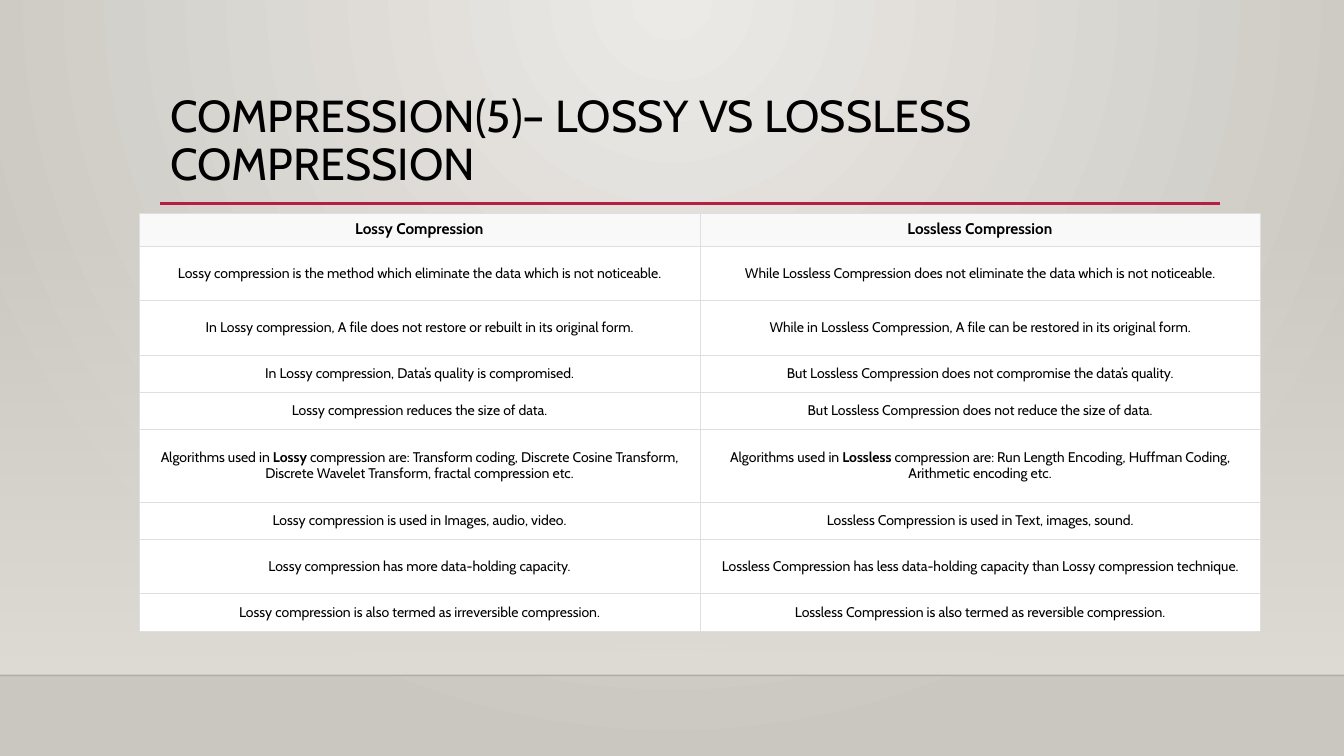
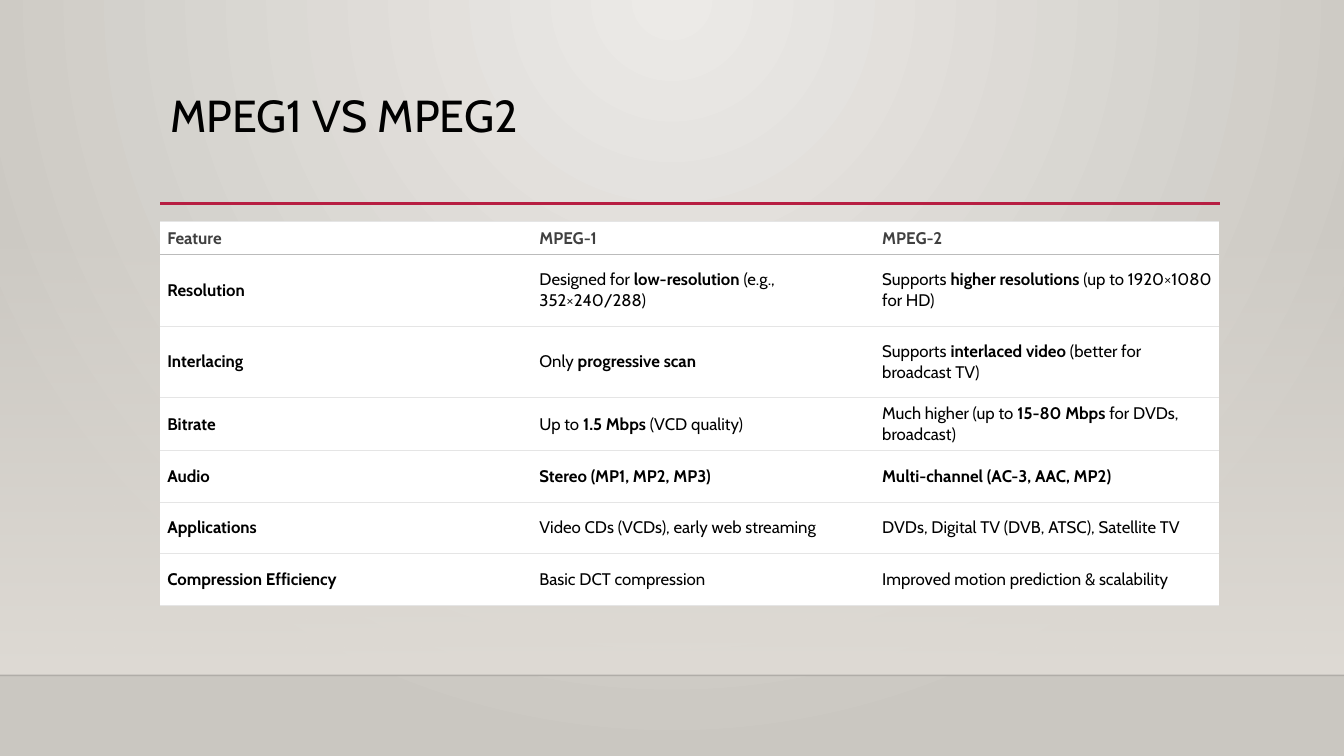
"""Build two comparison slides on video and data compression."""
from lxml import etree
from pptx import Presentation
from pptx.dml.color import RGBColor
from pptx.enum.shapes import MSO_CONNECTOR, MSO_SHAPE
from pptx.enum.text import MSO_ANCHOR, MSO_AUTO_SIZE, PP_ALIGN
from pptx.oxml.ns import qn
from pptx.util import Inches, Pt

RECT = MSO_SHAPE.RECTANGLE
STRAIGHT = MSO_CONNECTOR.STRAIGHT
TOP, MIDDLE = MSO_ANCHOR.TOP, MSO_ANCHOR.MIDDLE
LEFT, CENTER = PP_ALIGN.LEFT, PP_ALIGN.CENTER
FONT = "Cabin"
BLACK, WHITE, ACCENT = "000000", "FFFFFF", "B71E42"


def rgb(value):
    return RGBColor.from_string(value)


def add_border(tc_pr, index, side, color, width):
    ln = etree.Element(qn(f"a:ln{side}"), w=str(Pt(width)))
    if color:
        fill = etree.SubElement(ln, qn("a:solidFill"))
        etree.SubElement(fill, qn("a:srgbClr"), val=color)
    else:
        etree.SubElement(ln, qn("a:noFill"))
    tc_pr.insert(index, ln)


LOSSY_ROWS = [
    ("**Lossy Compression**", "**Lossless Compression**"),
    ("Lossy compression is the method which eliminate the data which is not noticeable.",
     "While Lossless Compression does not eliminate the data which is not noticeable."),
    ("In Lossy compression, A file does not restore or rebuilt in its original form.",
     "While in Lossless Compression, A file can be restored in its original form."),
    ("In Lossy compression, Data’s quality is compromised.",
     "But Lossless Compression does not compromise the data’s quality."),
    ("Lossy compression reduces the size of data.",
     "But Lossless Compression does not reduce the size of data."),
    ("Algorithms used in **Lossy** compression are: Transform coding, Discrete Cosine "
     "Transform, Discrete Wavelet Transform, fractal compression etc.",
     "Algorithms used in **Lossless** compression are: Run Length Encoding, "
     "Huffman Coding, Arithmetic encoding etc."),
    ("Lossy compression is used in Images, audio, video.",
     "Lossless Compression is used in Text, images, sound."),
    ("Lossy compression has more data-holding capacity.",
     "Lossless Compression has less data-holding capacity than Lossy compression technique."),
    ("Lossy compression is also termed as irreversible compression.",
     "Lossless Compression is also termed as reversible compression."),
]
MPEG_ROWS = [
    ("**Feature**", "**MPEG-1**", "**MPEG-2**"),
    ("**Resolution**", "Designed for **low-resolution** (e.g., 352×240/288)",
     "Supports **higher resolutions** (up to 1920×1080 for HD)"),
    ("**Interlacing**", "Only **progressive scan**",
     "Supports **interlaced video** (better for broadcast TV)"),
    ("**Bitrate**", "Up to **1.5 Mbps** (VCD quality)",
     "Much higher (up to **15-80 Mbps** for DVDs, broadcast)"),
    ("**Audio**", "**Stereo (MP1, MP2, MP3)**", "**Multi-channel (AC-3, AAC, MP2)**"),
    ("**Applications**", "Video CDs (VCDs), early web streaming",
     "DVDs, Digital TV (DVB, ATSC), Satellite TV"),
    ("**Compression Efficiency**", "Basic DCT compression",
     "Improved motion prediction & scalability"),
]
SLIDES = [
    dict(title="COMPRESSION(5)– LOSSY VS LOSSLESS COMPRESSION", rows=LOSSY_ROWS,
         at=(1.38, 2.11), cols=[5.56, 5.56],
         heights=[0.33, 0.54, 0.54, 0.37, 0.37, 0.72, 0.37, 0.54, 0.37],
         align=CENTER, sizes=(11, 10), head_fill="F9F9F9", head_color=BLACK,
         pad_x=0.07, pads_y=(0.07, 0.09), width=0.18,
         side="DFDFDF", rule="DFDFDF", head_rule="DFDFDF"),
    dict(title="MPEG1 VS MPEG2", rows=MPEG_ROWS,
         at=(1.59, 2.2), cols=[3.7, 3.4, 3.4],
         heights=[0.31, 0.71, 0.71, 0.51, 0.51, 0.51, 0.51],
         align=LEFT, sizes=(12, 12), head_fill=WHITE, head_color="404040",
         pad_x=0.06, pads_y=(0.06, 0.06), width=0.48,
         side=None, rule="E5E5E5", head_rule="BBBBBB"),
]

prs = Presentation()
prs.slide_width, prs.slide_height = Inches(13.33), Inches(7.5)
master = prs.slide_master
layout = prs.slide_layouts[5]
slides = [prs.slides.add_slide(layout) for _ in SLIDES]

band = slides[0].shapes.add_shape(RECT, 0, Inches(2.21), Inches(13.33), Inches(4.49))
band.shadow.inherit = False
band.line.fill.background()
for fill, colors in ((master.background.fill, ("ECEAE7", "CAC7C1")),
                     (band.fill, ("DFDBD5", "DFDBD5"))):
    fill.gradient()
    for stop, color in zip(fill.gradient_stops, colors):
        stop.color.rgb = rgb(color)
band.fill.gradient_angle = 270
first_stop = next(band._element.spPr.iter(qn("a:srgbClr")))
etree.SubElement(first_stop, qn("a:alpha"), val="0")

lin = next(master._element.cSld.iter(qn("a:lin")))
radial = etree.Element(qn("a:path"), path="circle")
etree.SubElement(radial, qn("a:fillToRect"), l="43000", t="0", r="43000", b="100000")
lin.getparent().replace(lin, radial)

shared = [band]
for x1, x2, y, color, width, alpha in ((0, 13.33, 6.7, BLACK, 1, 20),
                                       (1.59, 12.1, 2.02, ACCENT, 2.5, 100)):
    line = slides[0].shapes.add_connector(STRAIGHT, Inches(x1), Inches(y), Inches(x2), Inches(y))
    line.line.color.rgb = rgb(color)
    line.line.width = Pt(width)
    sp_pr = line._element.spPr
    etree.SubElement(next(sp_pr.iter(qn("a:srgbClr"))), qn("a:alpha"), val=str(alpha * 1000))
    etree.SubElement(sp_pr, qn("a:effectLst"))
    shared.append(line)
for i, sp in enumerate(shared):
    layout.shapes._spTree.insert(2 + i, sp._element)

for s, spec in zip(slides, SLIDES):
    title = s.shapes.title
    title.left, title.top = Inches(1.59), Inches(0.88)
    title.width, title.height = Inches(10.5), Inches(1.15)
    tf = title.text_frame
    tf.text = spec["title"]
    tf.vertical_anchor = TOP
    tf.auto_size = MSO_AUTO_SIZE.NONE
    p = tf.paragraphs[0]
    p.alignment = LEFT
    p.line_spacing = 0.9
    r = p.runs[0]
    r.font.name, r.font.size = FONT, Pt(32)
    r.font.color.rgb = rgb(BLACK)

    rows, cols, heights = spec["rows"], spec["cols"], spec["heights"]
    x, y = spec["at"]
    table = s.shapes.add_table(len(rows), len(cols), Inches(x), Inches(y),
                               Inches(sum(cols)), Inches(sum(heights))).table
    table.first_row = table.horz_banding = False
    for col, width in zip(table.columns, cols):
        col.width = Inches(width)
    for i, texts in enumerate(rows):
        table.rows[i].height = Inches(heights[i])
        body = int(i > 0)
        top = spec["head_rule"] if i == 1 else spec["rule"]
        bottom = spec["rule"] if body else spec["head_rule"]
        for j, text in enumerate(texts):
            cell = table.cell(i, j)
            cell.vertical_anchor = MIDDLE
            cell.margin_left = Inches(0.07 if j == 0 else spec["pad_x"])
            cell.margin_right = Inches(spec["pad_x"])
            cell.margin_top = cell.margin_bottom = Inches(spec["pads_y"][body])
            cell.fill.solid()
            cell.fill.fore_color.rgb = rgb(WHITE if body else spec["head_fill"])
            borders = zip("LRTB", (spec["side"], spec["side"], top, bottom))
            for k, (side, color) in enumerate(borders):
                add_border(cell._tc.tcPr, k, side, color, spec["width"])
            p = cell.text_frame.paragraphs[0]
            p.alignment = spec["align"]
            for n, part in enumerate(text.split("**")):
                if part:
                    r = p.add_run()
                    r.text = part
                    r.font.name, r.font.size = FONT, Pt(spec["sizes"][body])
                    r.font.bold = n % 2 == 1
                    r.font.color.rgb = rgb(BLACK if body else spec["head_color"])

prs.save("out.pptx")
